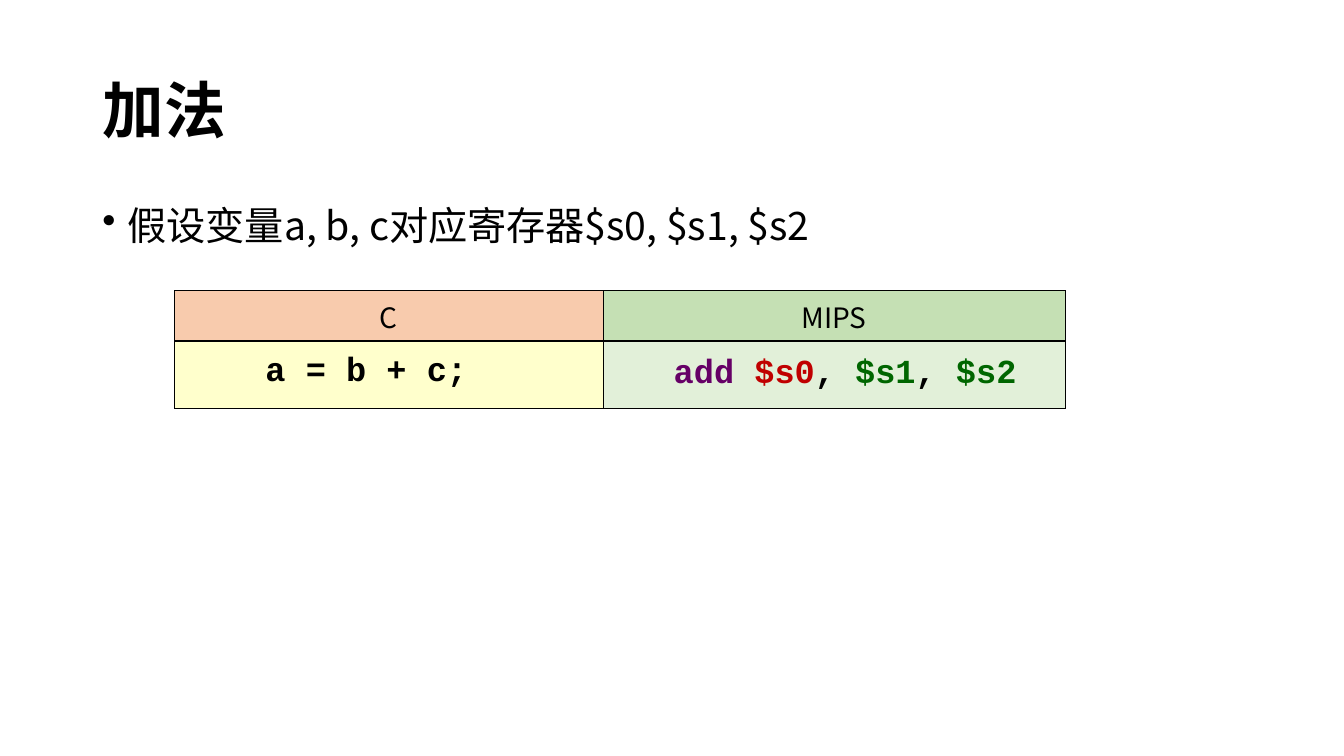
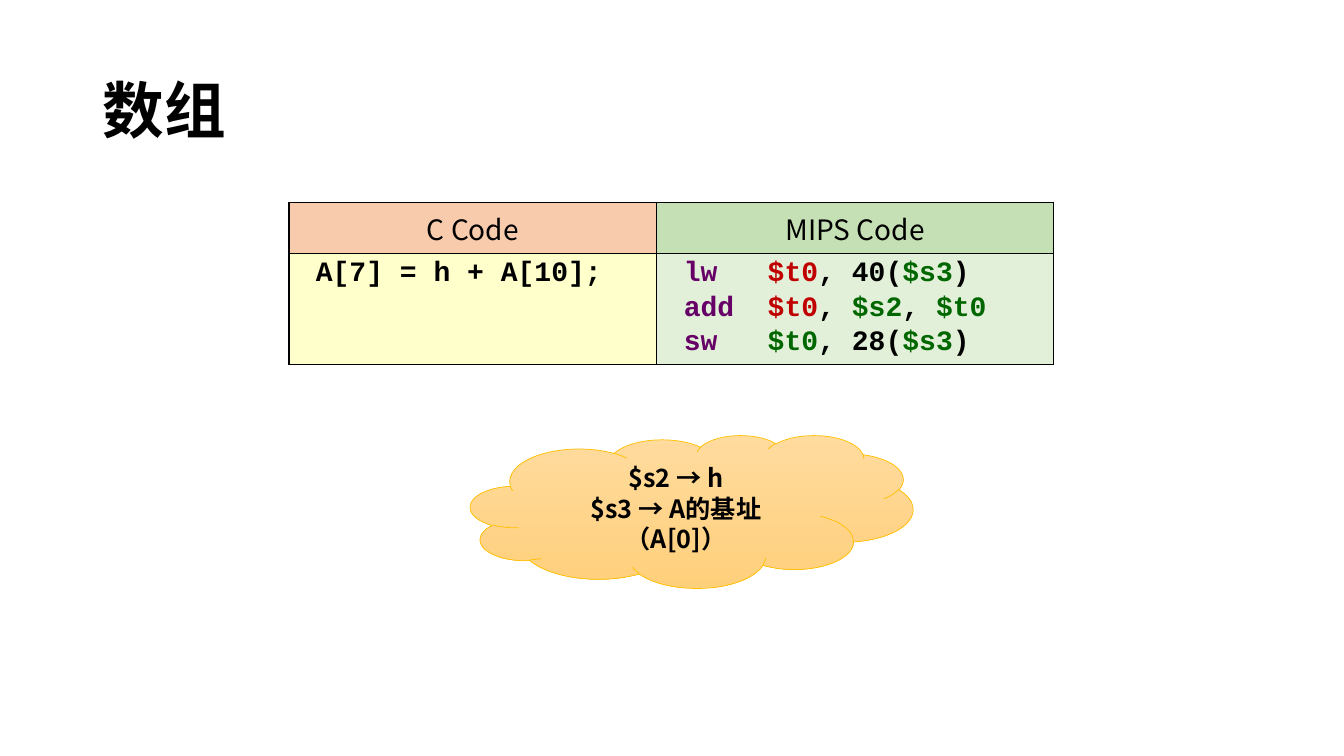
import dataclasses

import lxml.etree
import pptx
import pptx.dml.color
import pptx.enum.shapes
import pptx.enum.text
import pptx.oxml.ns
import pptx.util

Pt = pptx.util.Pt
qn = pptx.oxml.ns.qn
Align = pptx.enum.text.PP_ALIGN
Anchor = pptx.enum.text.MSO_ANCHOR
COLS, ROWS, UNIT = 16, 9, 762000


@dataclasses.dataclass(frozen=True)
class Theme:
    """Colours, fonts and type sizes of the deck."""
    sans: str = "Noto Sans CJK SC"
    mono: str = "Courier New"
    ink: str = "000000"
    verb: str = "660066"
    dest: str = "C00000"
    src: str = "006600"
    heads: tuple = ("F8CBAD", "C5E0B4")
    fills: tuple = ("FFFFCC", "E2F0D9")
    cloud: tuple = ("FFDB9E", "FFD07C")
    edge: str = "FFC000"
    title: int = 44
    body: int = 28
    large: int = 24
    code: int = 20
    note: int = 18


def span(size):
    """Turn grid units into a length."""
    return pptx.util.Emu(round(size * UNIT))


def tint(code):
    """Turn a hex code into a colour."""
    return pptx.dml.color.RGBColor.from_string(code)


def put(item, form):
    """Set each value of a format dict on an object."""
    for name, value in form.items():
        setattr(item, name, value)


def node(base, tag, **attrs):
    """Add a child element in the drawing namespace."""
    return lxml.etree.SubElement(base, qn("a:" + tag), attrs)


class Deck:
    """Holds the style and the current slide."""

    def __init__(self, theme):
        """Start an empty wide deck."""
        self.theme = theme
        self.file = pptx.Presentation()
        put(self.file, {"slide_width": span(COLS), "slide_height": span(ROWS)})

    def text(self, frame, lines, size, face=None, bold=False, bullet=False, tab=None, form=None, gap=0):
        """Fill a frame with lines, each a list of text and colour pairs."""
        face = face or self.theme.sans
        for rank, line in enumerate(lines):
            para = frame.add_paragraph() if rank else frame.paragraphs[0]
            props = para._p.get_or_add_pPr()
            if bullet:
                inset = pptx.util.Inches(0.25)
                props.set("marL", str(inset))
                props.set("indent", str(-inset))
                node(props, "buChar", char="•")
            if tab:
                node(node(props, "tabLst"), "tab", pos=str(pptx.util.Inches(tab)), algn="l")
            put(para, form or {})
            if rank and gap:
                para.space_before = Pt(gap)
            for words, hue in line:
                run = para.add_run()
                run.text = words
                put(run.font, {"name": face, "size": Pt(size), "bold": bold})
                run.font.color.rgb = tint(hue)
                node(run._r.get_or_add_rPr(), "ea", typeface=face)

    def plain(self, *lines):
        """Make lines of text in the ink colour."""
        return [[(line, self.theme.ink)] for line in lines]

    def slide(self, title):
        """Add a slide with its title."""
        self.page = self.file.slides.add_slide(self.file.slide_layouts[5])
        head = self.page.shapes.title
        put(head, {"left": span(1.1), "top": span(0.48), "width": span(13.8), "height": span(1.74)})
        put(head.text_frame, {"vertical_anchor": Anchor.MIDDLE, "word_wrap": True,
                              "auto_size": pptx.enum.text.MSO_AUTO_SIZE.NONE})
        self.text(head.text_frame, self.plain(title), self.theme.title, bold=True,
                  form={"alignment": Align.LEFT, "line_spacing": 0.9})

    def point(self, words, *box):
        """Add a bullet point."""
        frame = self.page.shapes.add_textbox(*map(span, box)).text_frame
        frame.word_wrap = True
        self.text(frame, self.plain(words), self.theme.body, bullet=True, form={"line_spacing": 0.9})

    def cell(self, cell, fill):
        """Fill a cell and draw its borders."""
        cell.fill.solid()
        cell.fill.fore_color.rgb = tint(fill)
        props = cell._tc.get_or_add_tcPr()
        for rank, side in enumerate(("lnL", "lnR", "lnT", "lnB")):
            line = node(props, side, w=str(Pt(1)))
            node(node(line, "solidFill"), "srgbClr", val=self.theme.ink)
            props.insert(rank, line)

    def table(self, left, top, wides, highs, heads, codes, size, forms, anchor, **style):
        """Add a table of headed code listings."""
        box = map(span, (left, top, sum(wides), sum(highs)))
        grid = self.page.shapes.add_table(2, len(wides), *box).table
        put(grid, {"first_row": False, "horz_banding": False})
        for row, high in zip(grid.rows, highs):
            row.height = span(high)
        for col, wide in enumerate(wides):
            grid.columns[col].width = span(wide)
            head, low = grid.cell(0, col), grid.cell(1, col)
            self.cell(head, self.theme.heads[col])
            self.cell(low, self.theme.fills[col])
            low.vertical_anchor = anchor
            self.text(head.text_frame, self.plain(heads[col]), self.theme.code,
                      form={"alignment": Align.CENTER})
            self.text(low.text_frame, codes[col], size, self.theme.mono, True, form=forms[col], **style)

    def cloud(self, lines, *box):
        """Add a cloud with a note."""
        cloud = self.page.shapes.add_shape(pptx.enum.shapes.MSO_SHAPE.CLOUD, *map(span, box))
        cloud.shadow.inherit = False
        cloud.fill.gradient()
        cloud.fill.gradient_angle = 270
        for stop, hue in zip(cloud.fill.gradient_stops, self.theme.cloud):
            stop.color.rgb = tint(hue)
        cloud.line.color.rgb = tint(self.theme.edge)
        cloud.line.width = Pt(0.5)
        put(cloud.text_frame, {"word_wrap": True, "vertical_anchor": Anchor.MIDDLE})
        self.text(cloud.text_frame, self.plain(*lines), self.theme.note, bold=True,
                  form={"alignment": Align.CENTER})


def main():
    """Build and save the deck."""
    look = Theme()
    deck = Deck(look)
    ink, verb, dest, src = look.ink, look.verb, look.dest, look.src

    deck.slide("加法")
    deck.point("假设变量a, b, c对应寄存器$s0, $s1, $s2", 1.1, 2.4, 13.8, 0.7)
    add = [("   add ", verb), ("$s0", dest), (", ", ink), ("$s1", src), (", ", ink), ("$s2", src)]
    deck.table(2.08, 3.46, (5.1, 5.5), (0.6, 0.8), ("C", "MIPS"),
               (deck.plain("    a = b + c;"), [add]), look.large,
               ({"line_spacing": Pt(24)}, {}), Anchor.MIDDLE)

    deck.slide("数组")
    steps = [
        [(" lw \t", verb), ("$t0", dest), (", 40(", ink), ("$s3", src), (")", ink)],
        [(" add \t", verb), ("$t0", dest), (", ", ink), ("$s2", src), (", ", ink), ("$t0", src)],
        [(" sw \t", verb), ("$t0", src), (", 28(", ink), ("$s3", src), (")", ink)],
    ]
    deck.table(3.44, 2.41, (4.38, 4.72), (0.6, 1.32), ("C Code", "MIPS Code"),
               (deck.plain(" A[7] = h + A[10];"), steps), look.code,
               ({}, {}), Anchor.TOP, tab=1, gap=2)
    deck.cloud(("$s2 → h", "$s3 → A的基址（A[0]）"), 5.6, 5.18, 5.27, 1.82)
    deck.file.save("out.pptx")


if __name__ == "__main__":
    main()
